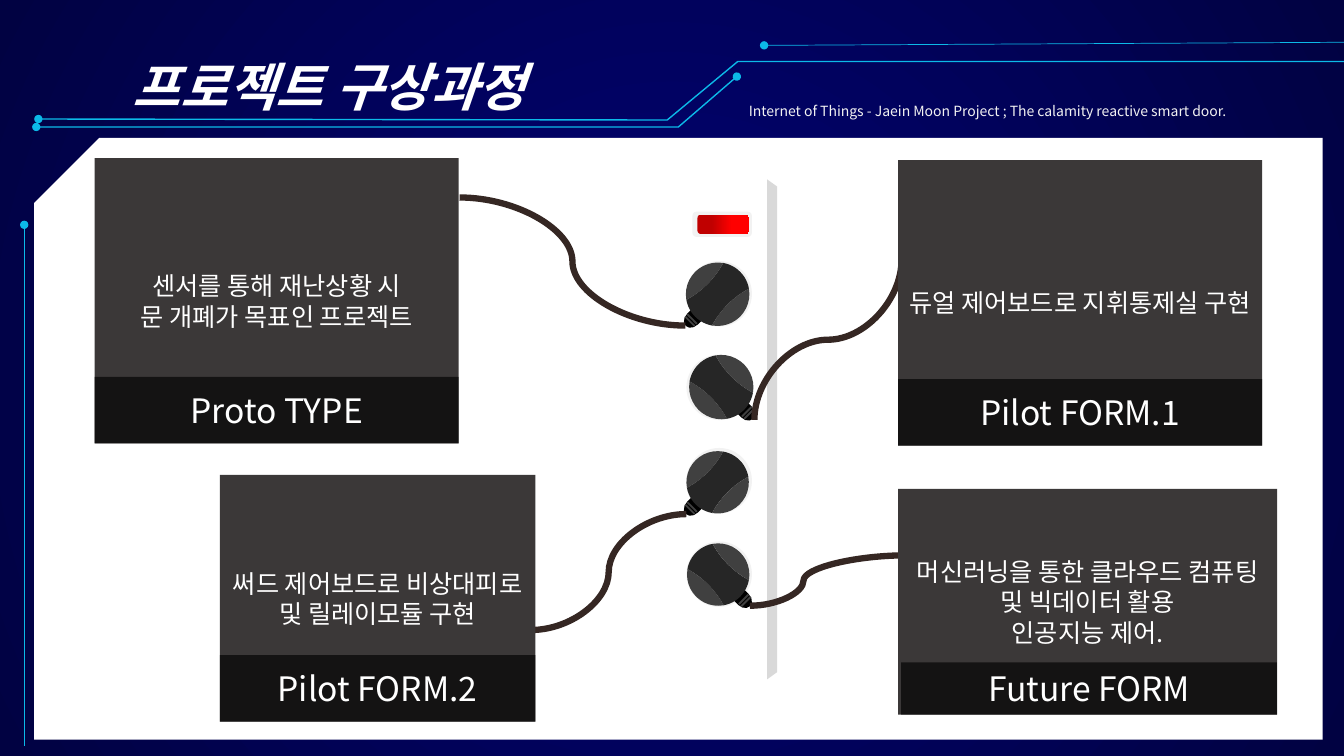
import math

import pptx
import pptx.dml.color
import pptx.enum.dml
import pptx.enum.shapes
import pptx.enum.text
import pptx.oxml
import pptx.oxml.ns
import pptx.util
from lxml import etree

Pt = pptx.util.Pt
RGB = pptx.dml.color.RGBColor.from_string
qn = pptx.oxml.ns.qn
KIND = pptx.enum.shapes.MSO_SHAPE
CONNECTOR = pptx.enum.shapes.MSO_CONNECTOR
ALIGN = pptx.enum.text.PP_ALIGN
ANCHOR = pptx.enum.text.MSO_ANCHOR
FONT = "Noto Sans CJK KR"
COLORS = {
    "glow": "010276", "night": "010242", "cyan": "0CB9E8", "white": "FFFFFF",
    "pale": "F2F2F2", "edge": "D9D9D9", "card": "3B3838", "black": "000000",
    "ball": "262626", "panel": "404040", "cord": "352723",
    "dark_red": "C00000", "red": "FF0000",
}


def add_block(kind, left, top, width, height, color, rotation=0):
    """Add a preset shape with a plain fill, no line and no shadow."""
    block = page.shapes.add_shape(kind, Pt(left), Pt(top), Pt(width), Pt(height))
    block.rotation = rotation
    block.shadow.inherit = False
    block.fill.solid()
    block.fill.fore_color.rgb = RGB(COLORS[color])
    block.line.fill.background()
    return block


def write(box, lines, size, color="white", align=ALIGN.CENTER, anchor=ANCHOR.MIDDLE, spacing=1.0):
    """Fill a shape with one paragraph per line, all in one style."""
    frame = box.text_frame
    frame.word_wrap = True
    frame.auto_size = pptx.enum.text.MSO_AUTO_SIZE.NONE
    frame.vertical_anchor = anchor
    frame.text = "\n".join(lines)
    for para in frame.paragraphs:
        para.alignment = align
        para.line_spacing = spacing
        para.font.size = Pt(size)
        para.font.color.rgb = RGB(COLORS[color])
        para.font.name = FONT
        etree.SubElement(para.font._element, qn("a:ea"), typeface=FONT)


deck = pptx.Presentation()
deck.slide_width, deck.slide_height = Pt(960), Pt(540)
page = deck.slides.add_slide(deck.slide_layouts[5])

# Background: radial glow
backdrop = page.background.fill
backdrop.gradient()
for stop, color in zip(backdrop.gradient_stops, ("glow", "night")):
    stop.color.rgb = RGB(COLORS[color])
gradient = page._element.find(".//" + qn("a:gradFill"))
gradient.remove(gradient.find(qn("a:lin")))
radial = etree.SubElement(gradient, qn("a:path"), path="circle")
etree.SubElement(radial, qn("a:fillToRect"), l="50000", t="50000", r="50000", b="50000")

# Title and subtitle
title = page.shapes.title
title.left, title.top, title.width, title.height = Pt(87.8), Pt(13), Pt(392.4), Pt(73.4)
write(title, ["프로젝트 구상과정"], 37, align=ALIGN.LEFT, anchor=ANCHOR.TOP, spacing=1.5)
title.text_frame.paragraphs[0].font.bold = True
title.text_frame.paragraphs[0].font.italic = True
subtitle = page.shapes.add_textbox(Pt(527.8), Pt(64), Pt(390.2), Pt(25.2))
write(subtitle, ["Internet of Things - Jaein Moon Project ; The calamity reactive smart door."],
      10, "pale", ALIGN.LEFT, ANCHOR.TOP, 1.5)

# Circuit traces with round ends
traces = [
    ([(25.9, 90.7), (484.6, 90.7), (526.3, 54.7)], 1, ("headEnd", "tailEnd")),
    ([(27.4, 85), (476.6, 85.7), (527, 43.9), (961.9, 43.9)], 1, ("headEnd",)),
    ([(545.8, 32.4), (960, 30.2)], 0.5, ("headEnd",)),
    ([(17.3, 160.6), (17.3, 532.8)], 0.5, ("headEnd",)),
]
for points, weight, ends in traces:
    corners = [(Pt(x), Pt(y)) for x, y in points]
    if len(corners) == 2:
        trace = page.shapes.add_connector(CONNECTOR.STRAIGHT, *corners[0], *corners[1])
    else:
        builder = page.shapes.build_freeform(*corners[0])
        builder.add_line_segments(corners[1:], close=False)
        trace = builder.convert_to_shape()
        trace.fill.background()
    trace.line.color.rgb = RGB(COLORS["cyan"])
    trace.line.width = Pt(weight)
    for end in ends:
        etree.SubElement(trace.line._get_or_add_ln(), qn("a:" + end), type="oval")
    etree.SubElement(trace._element.spPr, qn("a:effectLst"))

# White sheet, door edge and button
sheet = add_block(KIND.SNIP_1_RECTANGLE, 24.5, 98.6, 920.2, 429.8, "white")
sheet.adjustments[0] = 0.108
sheet._element.spPr.find(qn("a:xfrm")).set("flipH", "1")
door_edge = add_block(KIND.TRAPEZOID, 373, 303.1, 357.1, 7.2, "edge", 90)
door_edge.adjustments[0] = 0.714
add_block(KIND.ROUNDED_RECTANGLE, 494.6, 151.2, 42.5, 18, "pale")
button = add_block(KIND.ROUNDED_RECTANGLE, 498.2, 153.4, 36.7, 13.7, "red")
button.fill.gradient()
button.fill.gradient_angle = 0
for stop, color, position in zip(button.fill.gradient_stops, ("dark_red", "red"), (0.28, 0.67)):
    stop.color.rgb = RGB(COLORS[color])
    stop.position = position

# Ball outlines in radius units: a side panel and the waisted middle
STEPS = 12
SEAM = 55
outer = [(math.cos(a), math.sin(a)) for a in
         (math.radians(SEAM * (2 * i / STEPS - 1)) for i in range(STEPS + 1))]
reach = math.sin(math.radians(SEAM))
inner = [(0.45 + 0.12 * (y / reach) ** 2, y) for _, y in outer]
panel = outer + inner[::-1]
cap_arc = [(math.cos(a), math.sin(a)) for a in
           (math.radians(SEAM + (180 - 2 * SEAM) * i / STEPS) for i in range(STEPS + 1))]
half = inner + cap_arc
middle = half + [(-x, -y) for x, y in half]
PANEL_CENTER = 0.725

# Balls: center x, center y, radius, side of the plug (-1 left, 1 right)
balls = [(512.6, 210.2, 22.7, -1), (515.2, 276.5, 23, 1),
         (512.6, 344.5, 22.3, -1), (513, 410.4, 22.3, 1)]
# Cords: begin, end, rotation, bend
cords = [((489.6, 232.6), (328.3, 141.1), 0, 0.5), ((648.7, 295.2), (534.2, 190.1), 90, 0.5),
         ((490.3, 367.2), (379.4, 450), 0, 0.5), ((535.7, 432.7), (648, 396.7), 0, 0.341)]
for number, ((x, y, radius, side), (begin, end, turn, bend)) in enumerate(zip(balls, cords)):
    add_block(KIND.OVAL, 490.3, 186.5 + 66.75 * number, 46.8, 46.8, "pale")
    add_block(KIND.FLOWCHART_DELAY, x + 18 * side - 6.8, y + 17.8 - 5.4, 13.6, 10.8,
              "black", 90 - 45 * side)
    tilt = -45 * side
    parts = [(middle, 0, tilt, "ball"), (panel, PANEL_CENTER, tilt, "panel"),
             (panel, PANEL_CENTER, tilt + 180, "panel")]
    for outline, offset, angle, color in parts:
        left = x + radius * offset * (math.cos(math.radians(angle)) - 1)
        top = y + radius * offset * math.sin(math.radians(angle))
        corners = [(Pt(left + radius * a), Pt(top + radius * b)) for a, b in outline]
        builder = page.shapes.build_freeform(*corners[0])
        builder.add_line_segments(corners[1:])
        piece = builder.convert_to_shape()
        piece.rotation = angle
        piece.shadow.inherit = False
        piece.fill.solid()
        piece.fill.fore_color.rgb = RGB(COLORS[color])
        piece.line.fill.background()
    for ridge in (18.2, 19.8):
        add_block(KIND.RECTANGLE, x + ridge * side - 4.8, y + ridge - 1.2, 9.6, 1.4, "panel", tilt)

    cord = page.shapes.add_connector(CONNECTOR.CURVE, *map(Pt, begin), *map(Pt, end))
    cord.line.color.rgb = RGB(COLORS["cord"])
    cord.line.width = Pt(4.5)
    properties = cord._element.spPr
    etree.SubElement(properties, qn("a:effectLst"))
    properties.find(qn("a:xfrm")).set("rot", str(turn * 60000))
    etree.SubElement(properties.find(".//" + qn("a:avLst")), qn("a:gd"),
                     name="adj1", fmla=f"val {round(bend * 100000)}")

# Cards: left, top, width, height, caption height, caption inset, caption, text
cards = [
    (641.5, 114.5, 260, 203.8, 47.5, 0, "Pilot FORM.1", ["듀얼 제어보드로 지휘통제실 구현"]),
    (67.7, 113, 260, 203.8, 47.5, 0, "Proto TYPE",
     ["센서를 통해 재난상황 시", "문 개폐가 목표인 프로젝트"]),
    (157, 339.1, 225.4, 176.4, 47.5, 0, "Pilot FORM.2",
     ["써드 제어보드로 비상대피로 및 릴레이모듈 구현"]),
    (641.5, 349.2, 270.7, 161.3, 37.4, 2.2, "Future FORM",
     ["머신러닝을 통한 클라우드 컴퓨팅 및 빅데이터 활용", "인공지능 제어."]),
]
for left, top, width, height, strip, inset, caption, lines in cards:
    write(add_block(KIND.RECTANGLE, left, top, width, height, "card"), lines, 18)
    band = add_block(KIND.RECTANGLE, left + inset, top + height - strip, width - inset, strip, "black")
    shade = band._element.spPr.find(qn("a:solidFill")).find(qn("a:srgbClr"))
    etree.SubElement(shade, qn("a:alpha"), val="65000")
    write(band, [caption], 24)

deck.save("out.pptx")
